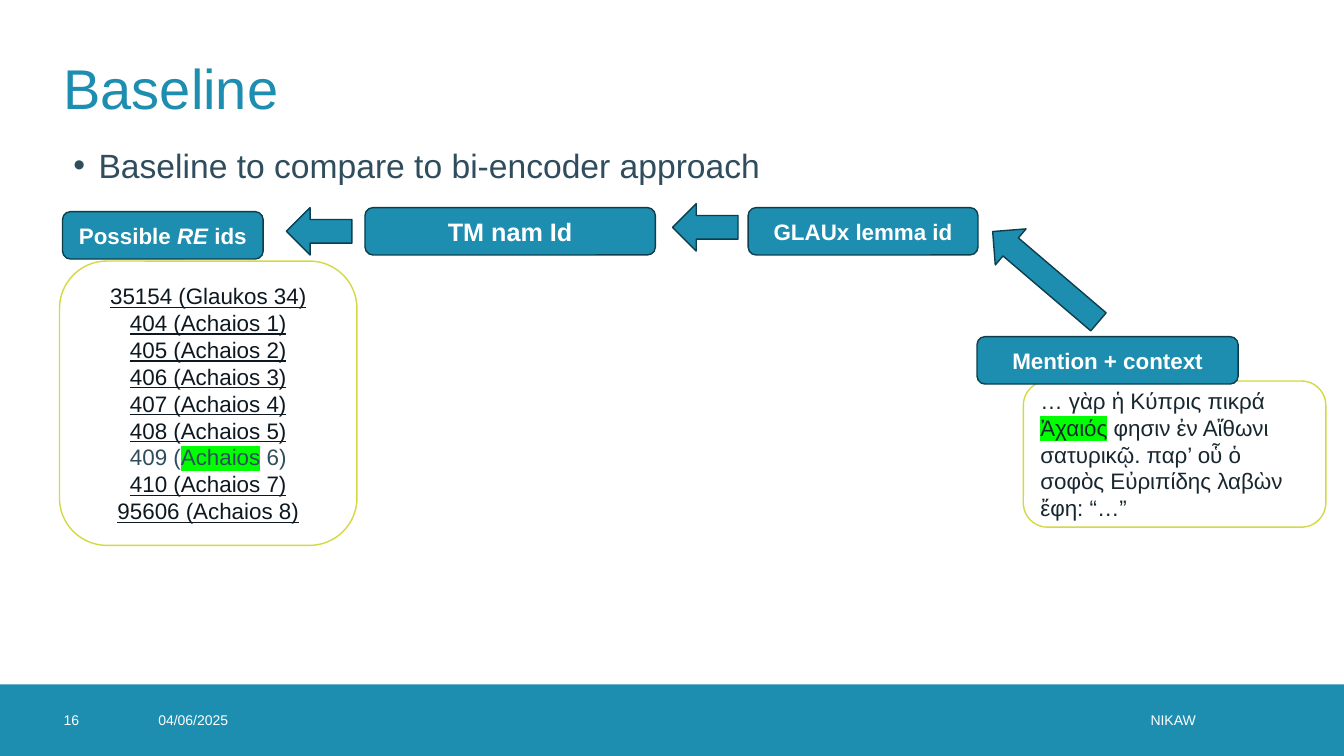
from lxml import etree
from pptx import Presentation
from pptx.dml.color import RGBColor
from pptx.enum import shapes, text
from pptx.oxml import ns
from pptx.util import Inches, Pt

TEAL = RGBColor(0x1D, 0x8D, 0xB0)
DARK_TEAL = RGBColor(0x0D, 0x3E, 0x4D)
LIME = RGBColor(0xD4, 0xD8, 0x42)
GREEN = RGBColor(0x00, 0xFF, 0x00)
SLATE = RGBColor(0x2F, 0x4D, 0x5D)
INK = RGBColor(0x18, 0x27, 0x2F)
NIGHT = RGBColor(0x0E, 0x18, 0x20)
WHITE = RGBColor(0xFF, 0xFF, 0xFF)

SLIDE_W, SLIDE_H = 13.33, 7.5
MARGIN, BODY_W = 0.63, 12.07
FOOT_Y, FOOT_H = 6.79, 0.71
STEP_H, ARROW_W = 0.47, 0.65
LEFT, CENTER, RIGHT = text.PP_ALIGN.LEFT, text.PP_ALIGN.CENTER, text.PP_ALIGN.RIGHT
ROUND = shapes.MSO_SHAPE.ROUNDED_RECTANGLE
ARROW = shapes.MSO_SHAPE.RIGHT_ARROW

TITLE = "Baseline"
BULLET = "Baseline to compare to bi-encoder approach"
FOOTER = [
    ("16", MARGIN, 0.71, LEFT, 0),
    ("04/06/2025", 1.57, 0.79, LEFT, 0),
    ("NIKAW", 6.6, 5.46, RIGHT, 0.2),
]
STEPS = [
    ([("Possible ", {}), ("RE", {"italic": True}), (" ids", {})], 16, 0.62, 2.1, 1.99),
    ([("TM nam Id", {})], 18, 3.62, 2.06, 2.88),
    ([("GLAUx lemma id", {})], 16, 7.42, 2.06, 2.28),
    ([("Mention + context", {})], 16, 9.69, 3.34, 2.59),
]
ARROWS = [(2.84, 2.06, ARROW_W, 180), (6.67, 2.02, ARROW_W, 180), (9.68, 2.51, 1.38, 220.5)]
MARK = {"highlight": GREEN}
CONTEXT = [[
    ("… γὰρ ἡ Κύπρις πικρά ", {}),
    ("Ἀχαιός", MARK),
    (" φησιν ἐν Αἴθωνι σατυρικῷ. παρ’ οὗ ὁ σοφὸς Εὐριπίδης λαβὼν ἔφη: “…”", {}),
]]
IDS = [("35154", "Glaukos 34"), ("404", "Achaios 1"), ("405", "Achaios 2"),
       ("406", "Achaios 3"), ("407", "Achaios 4"), ("408", "Achaios 5"),
       ("409", "Achaios 6"), ("410", "Achaios 7"), ("95606", "Achaios 8")]
MATCH = "409"


def id_line(number, name):
    """Return the runs of one candidate id, marking the matching one."""
    if number != MATCH:
        return [(f"{number} ({name})", {"underline": True})]
    word, rank = name.split()
    plain = {"color": SLATE}
    return [(f"{number} (", plain), (word, plain | MARK), (f" {rank})", plain)]


def write(sp, paragraphs, align=LEFT, anchor=text.MSO_ANCHOR.MIDDLE, insets=None, **base):
    """Fill a shape with paragraphs of formatted runs."""
    tf = sp.text_frame
    tf.word_wrap, tf.vertical_anchor = True, anchor
    if insets:
        for side, inset in zip(("left", "top", "right", "bottom"), insets):
            setattr(tf, f"margin_{side}", Inches(inset))
    for i, runs in enumerate(paragraphs):
        p = tf.add_paragraph() if i else tf.paragraphs[0]
        p.alignment = align
        for words, extra in runs:
            r = p.add_run()
            r.text = words
            style = {"name": "Arial"} | base | extra
            r.font.color.rgb = style.pop("color")
            mark = style.pop("highlight", None)
            for key, value in style.items():
                setattr(r.font, key, value)
            if mark is not None:
                hl = etree.Element(ns.qn("a:highlight"))
                etree.SubElement(hl, ns.qn("a:srgbClr"), val=str(mark))
                r.font._element.find(ns.qn("a:solidFill")).addnext(hl)
    return tf


def add_shape(s, kind, x, y, w, h, fill, line=None, rotation=0):
    """Add a flat preset shape."""
    sp = s.shapes.add_shape(kind, *map(Inches, (x, y, w, h)))
    sp.shadow.inherit = False
    sp.rotation = rotation
    sp.fill.solid()
    sp.fill.fore_color.rgb = fill
    if line is None:
        sp.line.fill.background()
    else:
        sp.line.color.rgb, sp.line.width = line, Pt(1)
    return sp


def add_text(s, x, y, w, h, words, **style):
    """Add a one-line text box."""
    sp = s.shapes.add_textbox(*map(Inches, (x, y, w, h)))
    return write(sp, [[(words, {})]], **style)


def main():
    """Build the slide."""
    prs = Presentation()
    prs.slide_width, prs.slide_height = Inches(SLIDE_W), Inches(SLIDE_H)
    s = prs.slides.add_slide(prs.slide_layouts[6])

    add_shape(s, shapes.MSO_SHAPE.RECTANGLE, 0, FOOT_Y, SLIDE_W, FOOT_H, TEAL)
    for words, x, w, align, right in FOOTER:
        add_text(s, x, FOOT_Y, w, FOOT_H, words, align=align,
                 insets=(0, 0, right, 0), size=Pt(10), color=WHITE)

    add_text(s, MARGIN, 0.23, BODY_W, 1.26, TITLE, insets=(0, 0, 0, 0),
             size=Pt(40), color=TEAL)
    tf = add_text(s, MARGIN, 1.39, BODY_W, 0.53, BULLET,
                  anchor=text.MSO_ANCHOR.TOP, size=Pt(24), color=SLATE)
    pPr = tf.paragraphs[0]._p.get_or_add_pPr()
    pPr.set("marL", str(Inches(0.25)))
    pPr.set("indent", str(Inches(-0.25)))
    etree.SubElement(pPr, ns.qn("a:buFont"), typeface="Arial")
    etree.SubElement(pPr, ns.qn("a:buChar"), char="•")

    sp = add_shape(s, ROUND, 10.15, 3.78, 3, 1.45, WHITE, LIME)
    write(sp, CONTEXT, size=Pt(16), color=INK)
    sp = add_shape(s, ROUND, 0.59, 2.59, 2.95, 2.82, WHITE, LIME)
    write(sp, [id_line(*row) for row in IDS], align=CENTER, size=Pt(16), color=NIGHT)

    for runs, size, x, y, w in STEPS:
        sp = add_shape(s, ROUND, x, y, w, STEP_H, TEAL, DARK_TEAL)
        write(sp, [runs], align=CENTER, size=Pt(size), color=WHITE, bold=True)
    for x, y, w, rotation in ARROWS:
        add_shape(s, ARROW, x, y, w, STEP_H, TEAL, DARK_TEAL, rotation)

    prs.save("out.pptx")


if __name__ == "__main__":
    main()
